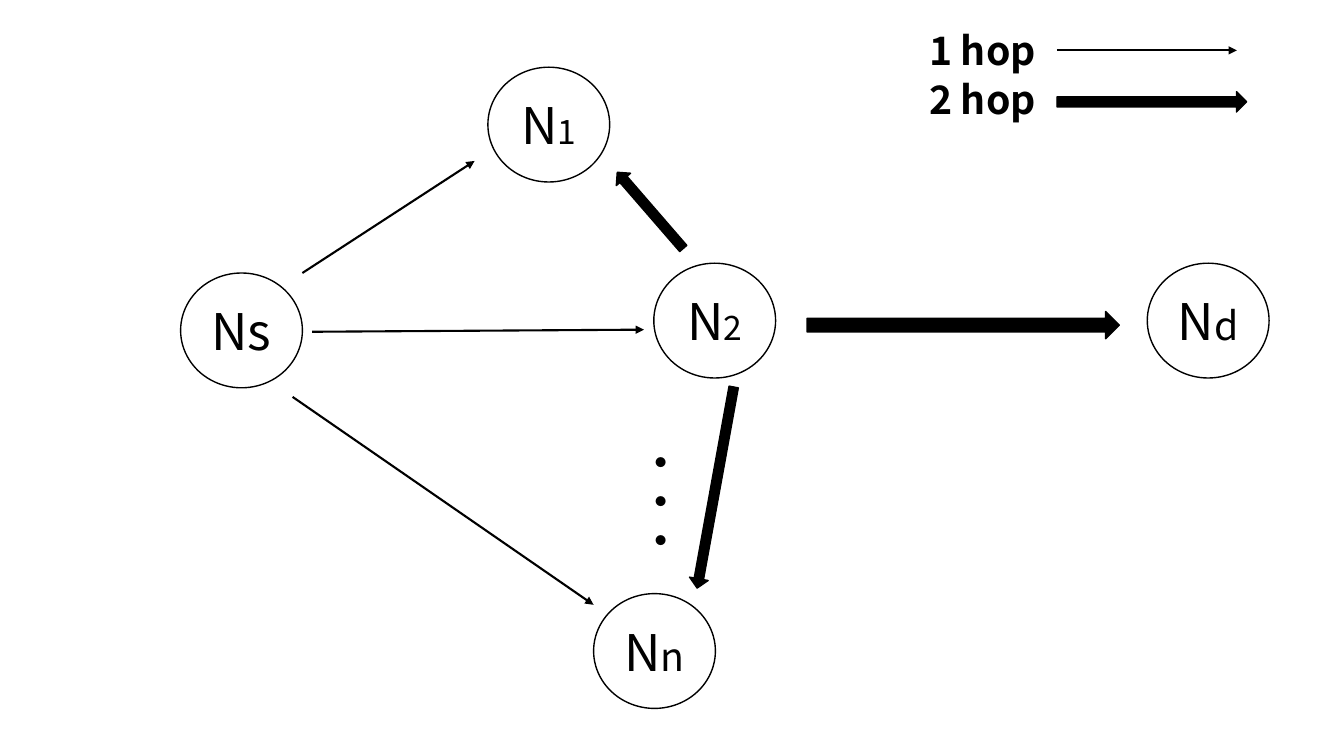
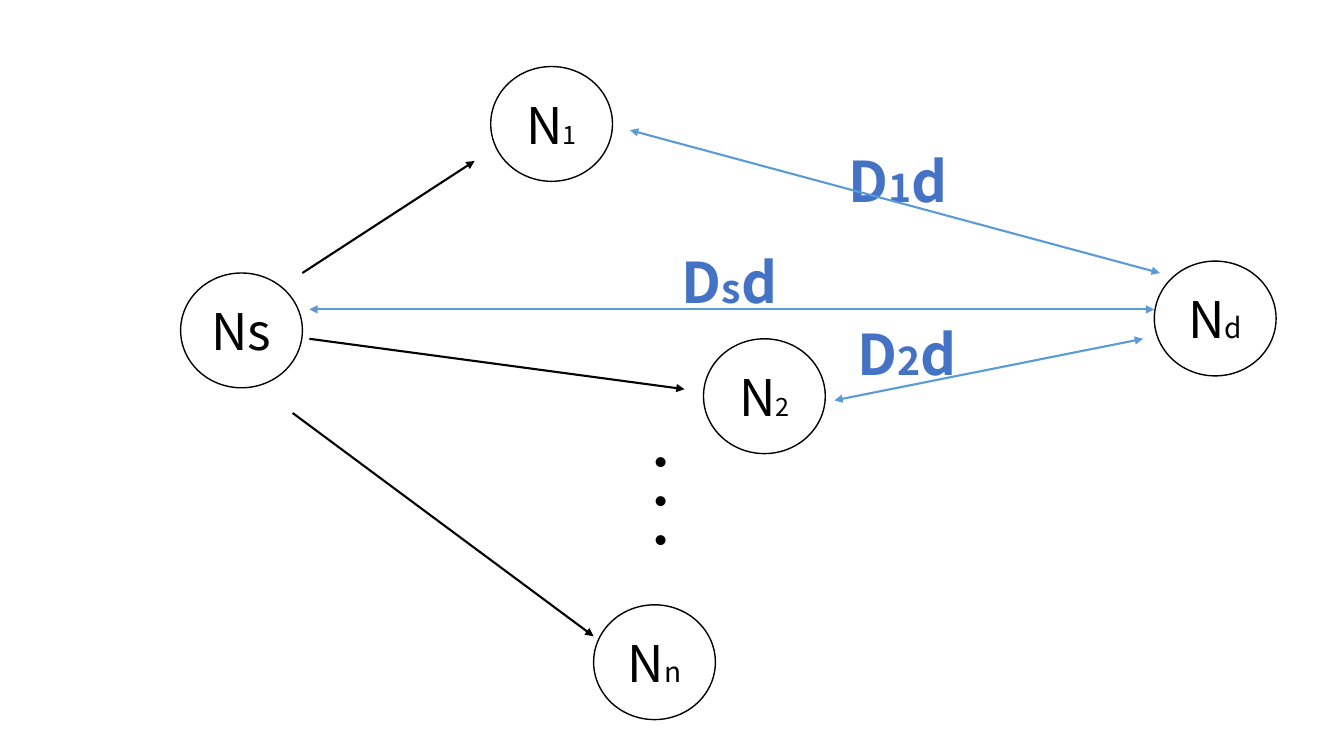
from dataclasses import dataclass

from lxml import etree
from pptx import Presentation
from pptx.dml.color import RGBColor
from pptx.enum.shapes import MSO_CONNECTOR, MSO_SHAPE
from pptx.enum.text import MSO_ANCHOR, MSO_AUTO_SIZE, PP_ALIGN
from pptx.oxml.ns import qn
from pptx.util import Pt

OVAL, BLOCK_ARROW = MSO_SHAPE.OVAL, MSO_SHAPE.RIGHT_ARROW
STRAIGHT = MSO_CONNECTOR.STRAIGHT
MIDDLE, CENTER = MSO_ANCHOR.MIDDLE, PP_ALIGN.CENTER
FIT = MSO_AUTO_SIZE.SHAPE_TO_FIT_TEXT

# Shared look
FONT = "Noto Sans CJK JP"
BLACK, WHITE, LINE_BLUE, TEXT_BLUE = "000000", "FFFFFF", "5B9BD5", "4472C4"
NODE_W, NODE_H = 87, 82


@dataclass(frozen=True)
class Piece:
    """A piece of text in one size."""
    text: str
    size: float


@dataclass(frozen=True)
class Node:
    x: float
    y: float
    pieces: tuple[Piece, ...]


@dataclass(frozen=True)
class Label:
    x: float
    y: float
    w: float
    h: float
    pieces: tuple[Piece, ...]
    color: str = BLACK
    vertical: bool = False


@dataclass(frozen=True)
class Arrow:
    x1: float
    y1: float
    x2: float
    y2: float
    color: str = BLACK
    both_ends: bool = False


@dataclass(frozen=True)
class Hop:
    """A thick block arrow, turned clockwise."""
    x: float
    y: float
    w: float
    h: float
    rotation: float = 0


def rgb(color: str) -> RGBColor:
    return RGBColor.from_string(color)


def node(x: float, y: float, index: str, size: float) -> Node:
    return Node(x, y, (Piece("N", 36), Piece(index, size)))


def distance_label(x: float, y: float, index: str) -> Label:
    pieces = (Piece("D", 40), Piece(index, 28), Piece("d", 40))
    return Label(x, y, 181.5, 55.5, pieces, TEXT_BLUE)


def legend_label(y: float, text: str) -> Label:
    return Label(656.5, y, 107, 41, (Piece(text, 28),))


def distance_arrow(x1: float, y1: float, x2: float, y2: float) -> Arrow:
    return Arrow(x1, y1, x2, y2, LINE_BLUE, True)


def write(p, pieces: tuple[Piece, ...], color: str, bold: bool = False) -> None:
    for piece in pieces:
        r = p.add_run()
        r.text = piece.text
        r.font.size = Pt(piece.size)
        r.font.bold = bold
        r.font.color.rgb = rgb(color)
        r.font.name = FONT
        etree.SubElement(r.font._element, qn("a:ea"), typeface=FONT)


def add_preset(s, kind, x: float, y: float, w: float, h: float, fill: str):
    sp = s.shapes.add_shape(kind, Pt(x), Pt(y), Pt(w), Pt(h))
    sp.shadow.inherit = False
    sp.fill.solid()
    sp.fill.fore_color.rgb = rgb(fill)
    sp.line.color.rgb = rgb(BLACK)
    sp.line.width = Pt(1)
    return sp


def add_node(s, item: Node) -> None:
    sp = add_preset(s, OVAL, item.x, item.y, NODE_W, NODE_H, WHITE)
    tf = sp.text_frame
    tf.word_wrap = False
    tf.vertical_anchor = MIDDLE
    p = tf.paragraphs[0]
    p.alignment = CENTER
    write(p, item.pieces, BLACK)


def add_label(s, item: Label) -> None:
    sp = s.shapes.add_textbox(Pt(item.x), Pt(item.y), Pt(item.w), Pt(item.h))
    tf = sp.text_frame
    tf.word_wrap = True
    tf.auto_size = FIT
    if item.vertical:
        tf._txBody.bodyPr.set("vert", "eaVert")
    write(tf.paragraphs[0], item.pieces, item.color, bold=True)


def add_arrow(s, item: Arrow) -> None:
    line = s.shapes.add_connector(STRAIGHT, Pt(item.x1), Pt(item.y1),
                                  Pt(item.x2), Pt(item.y2))
    line.line.color.rgb = rgb(item.color)
    line.line.width = Pt(1.5)
    ln = line.line._get_or_add_ln()
    for end in ("a:headEnd", "a:tailEnd") if item.both_ends else ("a:tailEnd",):
        etree.SubElement(ln, qn(end), type="triangle")
    etree.SubElement(line._element.spPr, qn("a:effectLst"))


def add_hop(s, item: Hop) -> None:
    sp = add_preset(s, BLOCK_ARROW, item.x, item.y, item.w, item.h, BLACK)
    sp.rotation = item.rotation


DRAW = {Node: add_node, Label: add_label, Arrow: add_arrow, Hop: add_hop}

# Elements on both slides
COMMON = (
    Node(129, 195, (Piece("Ns", 36),)),
    Label(443.5, 309.5, 48, 101.5, (Piece("・・・", 28),), vertical=True),
    Arrow(216, 195, 339, 115),
)

HOPS = (
    # Nodes
    node(467, 188, "2", 24),
    node(348.5, 48, "1", 24),
    node(819.5, 188, "d", 28),
    node(424, 424, "n", 28),
    # One-hop arrows
    Arrow(223, 237, 460, 235.5),
    Arrow(209, 283.5, 424, 432),
    # Two-hop arrows
    Hop(576.5, 222.5, 223, 19.5),
    Hop(438, 341.5, 146, 13.5, 100.3),
    Hop(428.5, 143.5, 72, 13.5, 229.1),
    # Legend
    legend_label(15, "1 hop"),
    Arrow(755, 36, 883.5, 36),
    legend_label(50.5, "2 hop"),
    Hop(755, 65.5, 135.5, 14.5),
)

DISTANCES = (
    # Nodes
    node(502.5, 242, "2", 18),
    node(350.5, 47.5, "1", 18),
    node(824.5, 186.5, "d", 20),
    node(424, 432, "n", 20),
    # One-hop arrows
    Arrow(221, 242, 489, 278),
    Arrow(209, 295, 424, 454.5),
    # Distances to the destination
    distance_arrow(221, 221, 824.5, 221),
    distance_label(480, 173, "s"),
    distance_arrow(596, 286, 816.5, 242),
    distance_label(605.5, 224.5, "2"),
    distance_label(599, 101, "1"),
    distance_arrow(450, 93, 828.5, 195),
)


def main() -> None:
    prs = Presentation()
    prs.slide_width, prs.slide_height = Pt(960), Pt(540)
    for items in (HOPS, DISTANCES):
        s = prs.slides.add_slide(prs.slide_layouts[6])
        for item in COMMON + items:
            DRAW[type(item)](s, item)
    prs.save("out.pptx")


if __name__ == "__main__":
    main()
